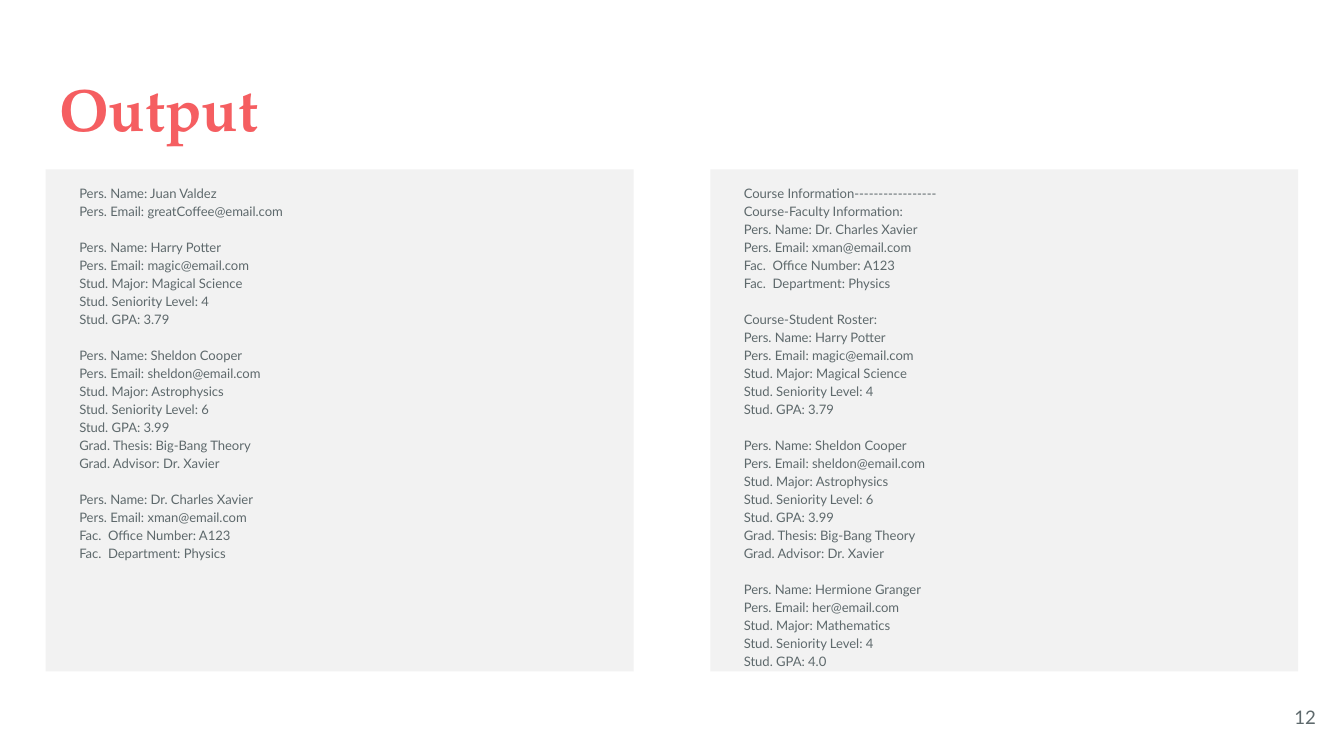
"""Build the "Output" slide: two panels of printed person and course records."""
from lxml.etree import SubElement
from pptx import Presentation
from pptx.dml.color import RGBColor
from pptx.enum.text import MSO_ANCHOR as Anchor, MSO_AUTO_SIZE as AutoSize, PP_ALIGN as Align
from pptx.oxml.ns import qn
from pptx.util import Pt

CORAL = RGBColor(0xF5, 0x5E, 0x61)
SLATE = RGBColor(0x5E, 0x69, 0x6C)
PANEL_GRAY = RGBColor(0xF2, 0xF2, 0xF2)
INSET = Pt(7.2)
RECORD_GAP = Pt(9.66)

JUAN = ["Pers. Name: Juan Valdez", "Pers. Email: greatCoffee@email.com"]
HARRY = [
    "Pers. Name: Harry Potter",
    "Pers. Email: magic@email.com",
    "Stud. Major: Magical Science",
    "Stud. Seniority Level: 4",
    "Stud. GPA: 3.79",
]
SHELDON = [
    "Pers. Name: Sheldon Cooper",
    "Pers. Email: sheldon@email.com",
    "Stud. Major: Astrophysics",
    "Stud. Seniority Level: 6",
    "Stud. GPA: 3.99",
    "Grad. Thesis: Big-Bang Theory",
    "Grad. Advisor: Dr. Xavier",
]
CHARLES = [
    "Pers. Name: Dr. Charles Xavier",
    "Pers. Email: xman@email.com",
    "Fac.  Office Number: A123",
    "Fac.  Department: Physics",
]
HERMIONE = [
    "Pers. Name: Hermione Granger",
    "Pers. Email: her@email.com",
    "Stud. Major: Mathematics",
    "Stud. Seniority Level: 4",
    "Stud. GPA: 4.0",
]
COURSE_HEADING = ["Course Information-----------------", "Course-Faculty Information:"]
PEOPLE = [JUAN, HARRY, SHELDON, CHARLES]
COURSE = [COURSE_HEADING + CHARLES, ["Course-Student Roster:"] + HARRY, SHELDON, HERMIONE]


def set_frame(shape, left, top, width, height, anchor):
    shape.left, shape.top, shape.width, shape.height = Pt(left), Pt(top), Pt(width), Pt(height)
    frame = shape.text_frame
    frame.margin_left = frame.margin_right = frame.margin_top = frame.margin_bottom = INSET
    frame.word_wrap = True
    frame.auto_size = AutoSize.NONE
    frame.vertical_anchor = anchor
    return frame


def set_text(paragraph, text, font_name, size, color, align):
    paragraph.text = text
    paragraph.alignment = align
    font = paragraph.font
    font.name, font.size, font.color.rgb = font_name, Pt(size), color


presentation = Presentation()
presentation.slide_width, presentation.slide_height = Pt(720), Pt(405)
slide = presentation.slides.add_slide(presentation.slide_layouts[3])
title, people_panel, course_panel = slide.placeholders

title_frame = set_frame(title, 24.5, 31, 671, 49, Anchor.TOP)
title_paragraph = title_frame.paragraphs[0]
set_text(title_paragraph, "Output", "TeX Gyre Pagella", 32, CORAL, Align.LEFT)
title_paragraph.font.bold = True

for panel, left, records in [(people_panel, 24.5, PEOPLE), (course_panel, 380.5, COURSE)]:
    frame = set_frame(panel, left, 90.75, 315, 269, Anchor.TOP)
    panel.fill.solid()
    panel.fill.fore_color.rgb = PANEL_GRAY
    paragraph = frame.paragraphs[0]
    for record_index, record in enumerate(records):
        for line_index, line in enumerate(record):
            if record_index or line_index:
                paragraph = frame.add_paragraph()
            set_text(paragraph, line, "Lato", 7, SLATE, Align.LEFT)
            paragraph.line_spacing = 1.15
            paragraph.space_before = RECORD_GAP if record_index and not line_index else Pt(0)
            properties = paragraph._p.get_or_add_pPr()
            properties.set("marL", str(Pt(10.8)))
            properties.set("indent", "0")
            properties.insert_element_before(
                SubElement(properties, qn("a:buNone")), "a:tabLst", "a:defRPr", "a:extLst")

page_number = slide.shapes.add_textbox(0, 0, 0, 0)
number_frame = set_frame(page_number, 669, 368.5, 43, 31, Anchor.MIDDLE)
set_text(number_frame.paragraphs[0], "12", "Lato", 10, SLATE, Align.RIGHT)

presentation.save("out.pptx")
